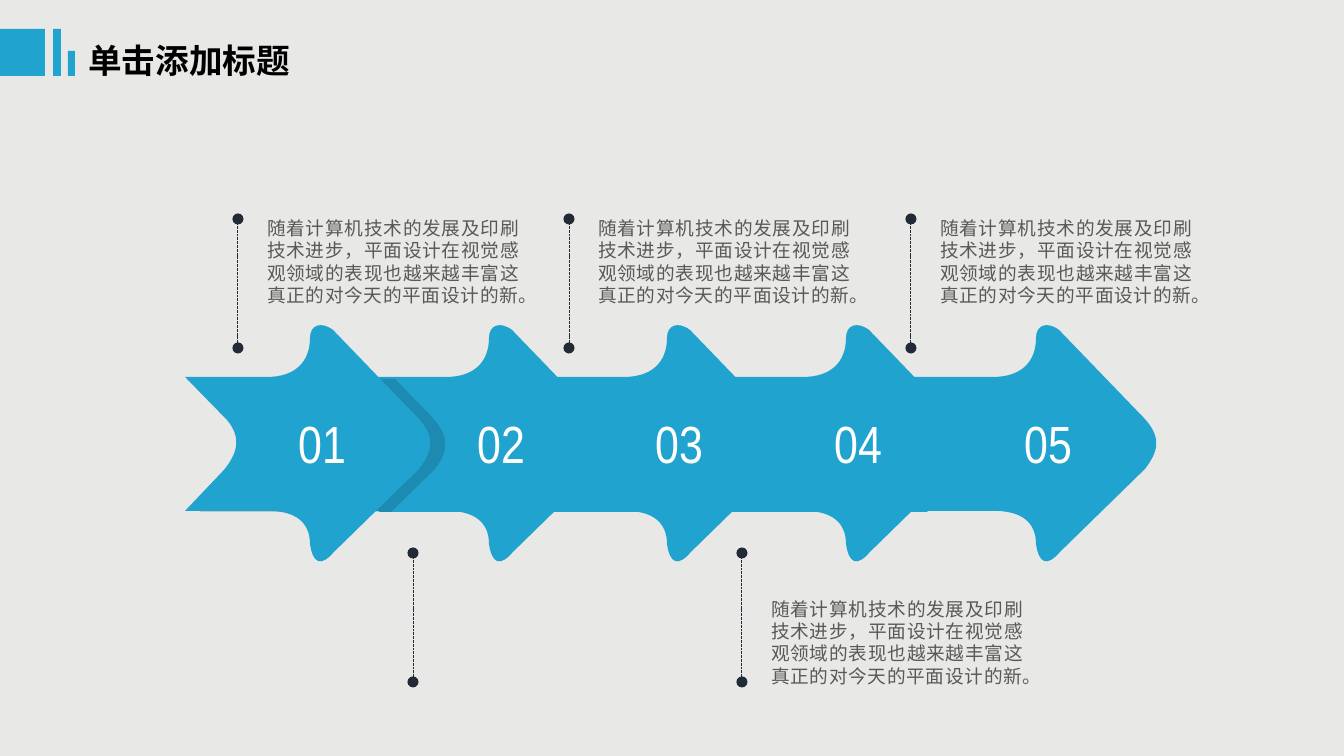
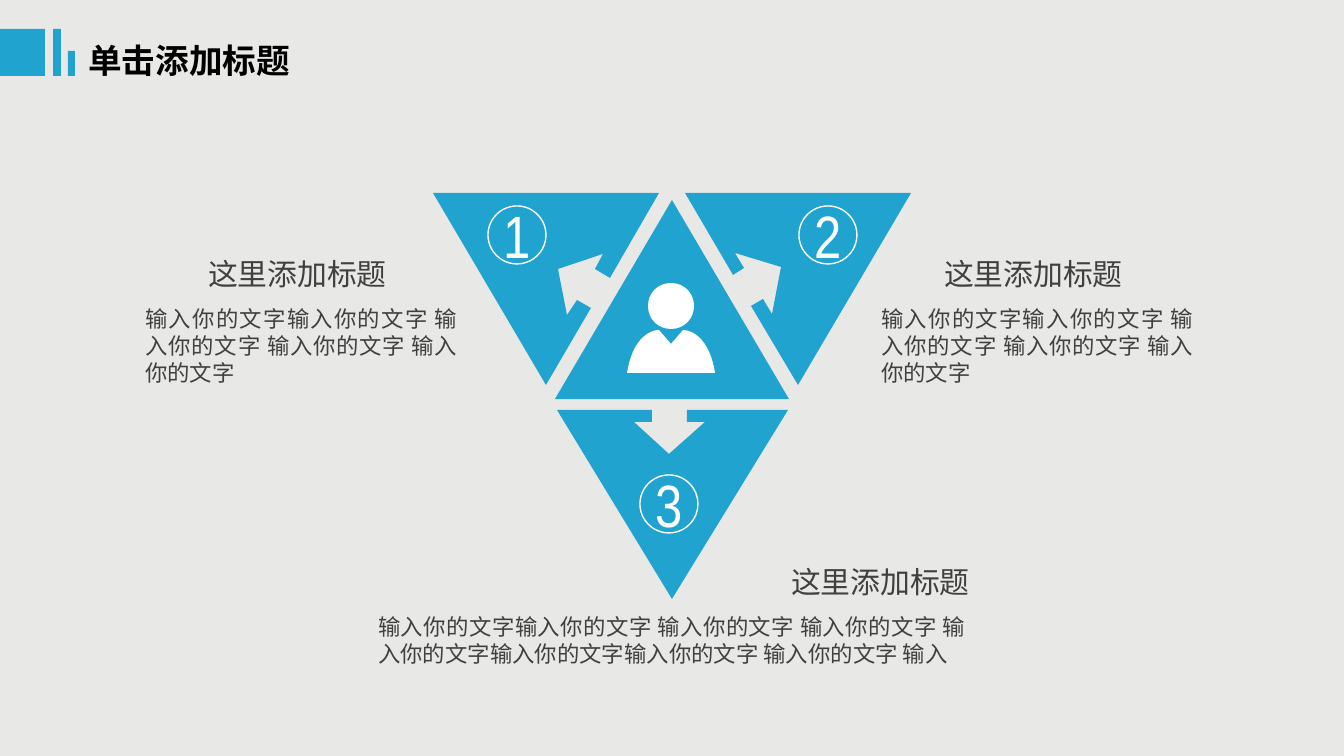
from dataclasses import dataclass

from lxml.etree import SubElement
from pptx import Presentation
from pptx.dml.color import RGBColor as RGB
from pptx.enum.dml import MSO_LINE
from pptx.enum.shapes import MSO_CONNECTOR as CONN, MSO_SHAPE as SHP
from pptx.enum.text import MSO_ANCHOR as ANCHOR, MSO_AUTO_SIZE as AUTO, PP_ALIGN as AL
from pptx.oxml.ns import qn
from pptx.util import Pt

W, H = 1344, 756
SCALE = 9144000 / W


@dataclass(frozen=True)
class Theme:
    bg: str = "E8E8E6"
    blue: str = "21A3D0"
    dark: str = "222A35"
    black: str = "000000"
    white: str = "FFFFFF"
    note: str = "595959"
    body: str = "404040"
    cjk: str = "Noto Sans CJK SC"
    narrow: str = "Arial Narrow"
    leading: float = 1.2


T = Theme()
TITLE = dict(size=18, color=T.black, bold=True)
NOTE = dict(size=10, color=T.note, align=AL.JUSTIFY)
HEADING = dict(size=16, color=T.body)
BODY = dict(size=12, color=T.body, align=AL.JUSTIFY)
STEP = dict(size=28, color=T.white, font=T.narrow, wrap=False)
BADGE = dict(STEP, size=32)

NOTE_TEXT = ("随着计算机技术的发展及印刷技术进步，平面设计在视觉感"
             "观领域的表现也越来越丰富这真正的对今天的平面设计的新。")
SIDE_TEXT = "输入你的文字输入你的文字 输入你的文字 输入你的文字 输入你的文字"
WIDE_TEXT = ("输入你的文字输入你的文字 输入你的文字 输入你的文字 "
             "输入你的文字输入你的文字输入你的文字 输入你的文字 输入")

# Outlines: a pair is a straight step, six numbers are a cubic curve
ARROW = [(0, 52), (82, 52), (109, 52, 125, 38, 125, 13), (125, 0, 136, -4, 148, 5),
         (231, 91), (253, 113, 246, 128, 234, 144), (149, 227),
         (136, 242, 128, 239, 125, 219), (125, 203, 117, 187, 86, 186),
         (0, 186), (39, 145), (51, 130, 58, 114, 42, 95), (0, 52)]
SHADE = [(15, 54), (210, 54), (246, 91), (267, 113, 262, 129, 249, 145), (206, 187),
         (105, 187), (104, 187, 102, 187, 101, 187),
         (15, 187), (54, 146), (66, 130, 74, 114, 56, 95)]
HEAD = [(44, 46), (57, 46, 67, 36, 67, 23), (67, 10, 57, 0, 44, 0),
        (31, 0, 21, 10, 21, 23), (21, 36, 31, 46, 44, 46)]
TORSO = [(56, 47), (44, 61), (32, 47), (32, 47, 7, 46, 0, 90), (88, 90),
         (81, 46, 56, 47, 56, 47)]

# Outer triangles, each with an arrow cut into its inner side
LOWER = [(115, 189), (231, 0), (130, 0), (130, 12), (148, 12), (112, 44),
         (77, 12), (95, 12), (95, 0), (0, 0)]
RIGHT = [(113, 192), (226, 0), (0, 0), (48, 82), (59, 75), (50, 60), (96, 74),
         (87, 121), (78, 106), (66, 113)]
LEFT = [(113, 192), (158, 115), (144, 107), (134, 122), (125, 76), (170, 61),
        (162, 76), (177, 85), (226, 0), (0, 0)]


def px(*values):
    return [round(v * SCALE) for v in values]


def paint(shape, fill=None, line=None, alpha=None):
    shape.shadow.inherit = False
    if fill:
        shape.fill.solid()
        shape.fill.fore_color.rgb = RGB.from_string(fill)
    else:
        shape.fill.background()
    if alpha:
        color = shape.fill._xPr.find(qn("a:solidFill"))[0]
        SubElement(color, qn("a:alpha"), val=str(alpha * 1000))
    if line:
        shape.line.color.rgb = RGB.from_string(line)
        shape.line.width = Pt(0.75)
    else:
        shape.line.fill.background()


def preset(shapes, kind, box, **style):
    shape = shapes.add_shape(kind, *px(*box))
    paint(shape, **style)
    return shape


def flatten(outline, steps=16):
    """Points along an outline, which give its true extent."""
    points = [outline[0]]
    for step in outline[1:]:
        if len(step) == 2:
            points.append(step)
            continue
        (x0, y0), (x1, y1, x2, y2, x3, y3) = points[-1], step
        for i in range(1, steps + 1):
            t = i / steps
            a, b, c, d = (1 - t) ** 3, 3 * t * (1 - t) ** 2, 3 * t * t * (1 - t), t ** 3
            points.append((a * x0 + b * x1 + c * x2 + d * x3,
                           a * y0 + b * y1 + c * y2 + d * y3))
    return points


def write_curves(shape, x, y, outlines):
    """Fill the shape's path with straight and cubic steps."""
    path = next(shape._element.iter(qn("a:path")))
    for child in list(path):
        path.remove(child)
    for outline in outlines:
        for i, step in enumerate(outline):
            tag = "a:moveTo" if i == 0 else "a:lnTo" if len(step) == 2 else "a:cubicBezTo"
            node = SubElement(path, qn(tag))
            for dx, dy in zip(step[::2], step[1::2]):
                ex, ey = px(x + dx, y + dy)
                SubElement(node, qn("a:pt"), x=str(ex - shape.left), y=str(ey - shape.top))
        SubElement(path, qn("a:close"))


def freeform(shapes, x, y, *outlines, **style):
    fb = None
    for outline in outlines:
        start, *rest = [px(x + dx, y + dy) for dx, dy in flatten(outline)]
        if fb is None:
            fb = shapes.build_freeform(*start)
        else:
            fb.move_to(*start)
        fb.add_line_segments(rest, close=True)
    shape = fb.convert_to_shape()
    write_curves(shape, x, y, outlines)
    paint(shape, **style)


def write(shape, words, size, color, font=T.cjk, bold=False, align=AL.LEFT, wrap=True):
    tf = shape.text_frame
    frame = dict(word_wrap=wrap, auto_size=AUTO.SHAPE_TO_FIT_TEXT, vertical_anchor=ANCHOR.TOP)
    for name, value in frame.items():
        setattr(tf, name, value)
    p = tf.paragraphs[0]
    p.alignment = align
    p.line_spacing = Pt(round(size * T.leading, 1))
    r = p.add_run()
    r.text = words
    for name, value in dict(size=Pt(size), bold=bold, name=font).items():
        setattr(r.font, name, value)
    r.font.color.rgb = RGB.from_string(color)
    SubElement(r._r.get_or_add_rPr(), qn("a:ea"), typeface=font)


def text(shapes, box, words, **style):
    write(shapes.add_textbox(*px(*box)), words, **style)


def dotted_line(s, x, y, length):
    c = s.shapes.add_connector(CONN.STRAIGHT, *px(x, y + length, x, y))
    c.line.color.rgb = RGB.from_string(T.dark)
    c.line.width = Pt(0.5)
    c.line.dash_style = MSO_LINE.SQUARE_DOT
    ln = c.line._get_or_add_ln()
    for end in ("a:headEnd", "a:tailEnd"):
        SubElement(ln, qn(end), type="oval")
    SubElement(c._element.spPr, qn("a:effectLst"))


def base_slide(prs, title):
    """Background, blue bars and title."""
    s = prs.slides.add_slide(prs.slide_layouts[6])
    s.background.fill.solid()
    s.background.fill.fore_color.rgb = RGB.from_string(T.bg)
    for bar in ((0, 29, 45, 47), (53, 29, 8, 47), (68, 51, 7, 25)):
        preset(s.shapes, SHP.RECTANGLE, bar, fill=T.blue)
    text(s.shapes, (75, 33, 233, 54), title, **TITLE)
    return s


def step_arrow(s, x, y, number, shade):
    g = s.shapes.add_group_shape().shapes
    if shade:
        freeform(g, x, y, SHADE, **shade)
    freeform(g, x, y, ARROW, fill=T.blue)
    label = f"{number:02}"
    if number == 1:
        text(g, (x + 100, y + 80, 75, 77), label, **STEP)
    else:
        plate = preset(g, SHP.RECTANGLE, (x + 100, y + 80, 83, 77), fill=T.blue)
        write(plate, label, **STEP)


def arrows_slide(prs):
    s = base_slide(prs, "单击添加标题")
    # Arrows, the last at the back
    lefts = (185, 364, 542, 721, 911)
    for number in range(len(lefts), 0, -1):
        shade = dict(fill=T.blue)
        if number == len(lefts):
            shade = None
        elif number == 1:
            shade = dict(fill=T.black, alpha=15)
        step_arrow(s, lefts[number - 1], 325, number, shade)
    # Dotted lines with notes: x, top, drop of the note from the line's top
    for x, y, drop in ((238, 219, -9), (413, 553, None), (569, 219, -9),
                       (742, 553, 38), (911, 219, -9)):
        dotted_line(s, x, y, 129)
        if drop is not None:
            text(s.shapes, (x + 16, y + drop, 278, 103), NOTE_TEXT, **NOTE)


def triangle_cluster(s, x, y):
    g = s.shapes.add_group_shape().shapes
    freeform(g, x + 124, y + 217, LOWER, fill=T.blue)
    freeform(g, x + 252, y, RIGHT, fill=T.blue)
    preset(g, SHP.ISOSCELES_TRIANGLE, (x + 122, y + 7, 234, 199), fill=T.blue)
    freeform(g, x, y, LEFT, fill=T.blue)
    # Numbered circles
    for number, dx, dy in ((2, 366, 13), (1, 55, 13), (3, 207, 282)):
        g = s.shapes.add_group_shape().shapes
        preset(g, SHP.OVAL, (x + dx, y + dy, 58, 58), line=T.white)
        text(g, (x + dx + 2, y + dy - 14, 58, 86), str(number), **BADGE)
    # Person in the middle
    freeform(s.shapes, x + 194, y + 90, HEAD, TORSO, fill=T.white)


def caption(s, x, y, w, h, indent, words):
    text(s.shapes, (x, y + 50, w, h - 50), words, **BODY)
    text(s.shapes, (x + indent, y, 211, 50), "这里添加标题", **HEADING)


def triangles_slide(prs):
    s = base_slide(prs, "单击添加标题")
    triangle_cluster(s, 433, 193)
    for x in (132, 868):
        caption(s, x, 249, 339, 145, 63, SIDE_TEXT)
    caption(s, 365, 557, 614, 117, 413, WIDE_TEXT)


def main():
    prs = Presentation()
    prs.slide_width, prs.slide_height = px(W, H)
    arrows_slide(prs)
    triangles_slide(prs)
    prs.save("out.pptx")


if __name__ == "__main__":
    main()
